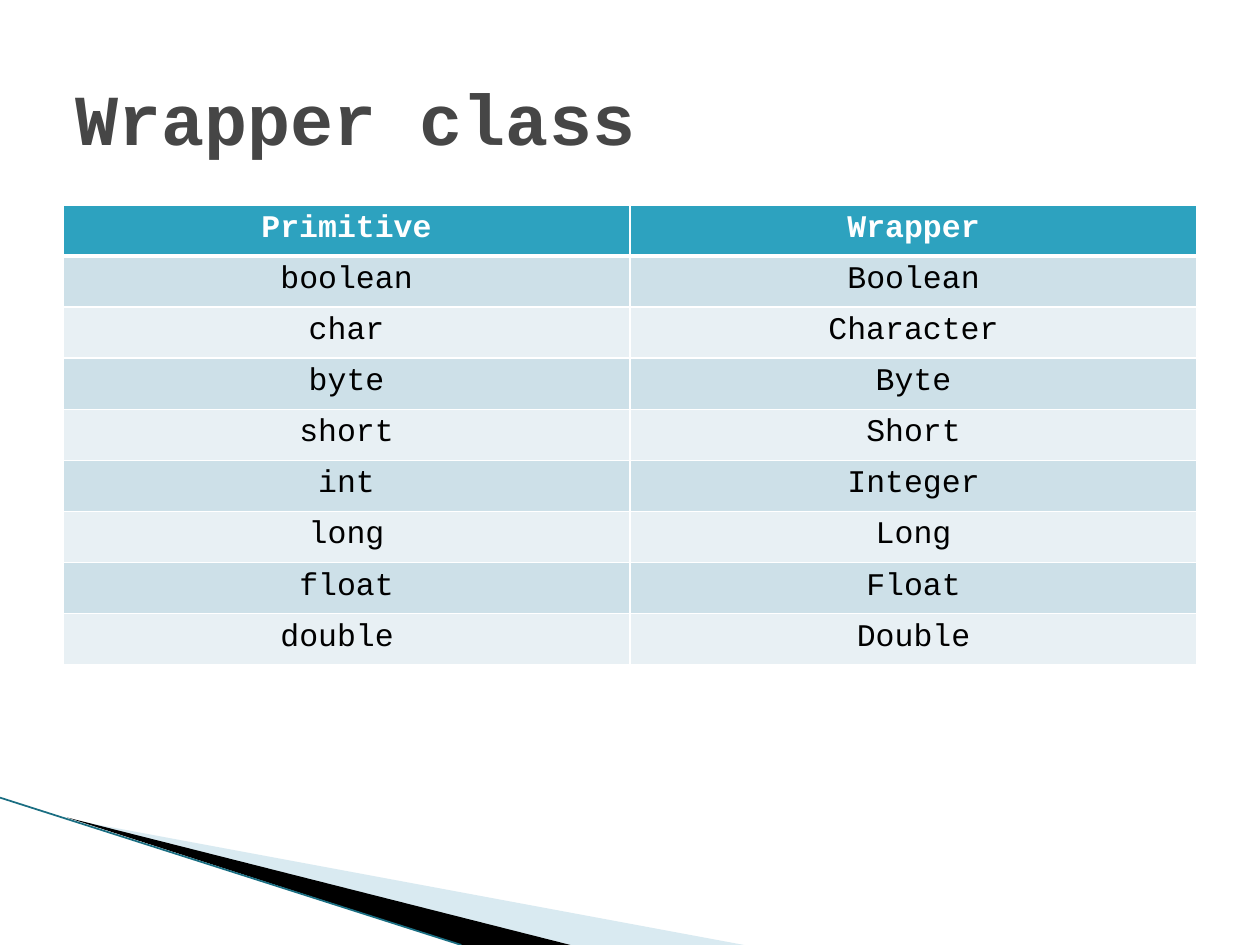
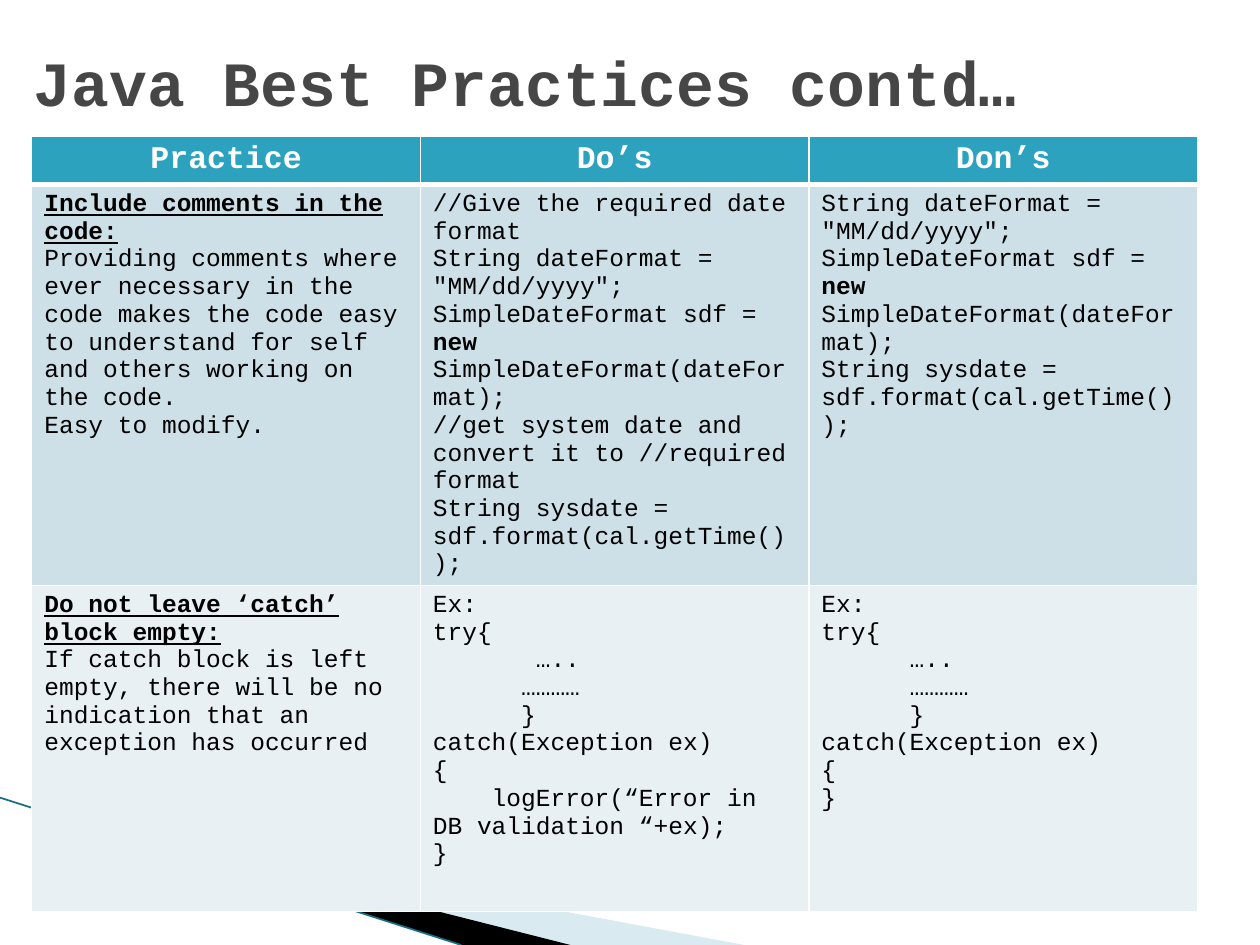
from lxml import etree
from pptx import Presentation
from pptx.dml.color import RGBColor
from pptx.enum.shapes import MSO_CONNECTOR
from pptx.enum.text import MSO_ANCHOR, MSO_AUTO_SIZE, PP_ALIGN
from pptx.oxml.ns import qn
from pptx.util import Cm, Pt

# Shared look
FONT = "Courier New"
WHITE = RGBColor(0xFF, 0xFF, 0xFF)
BLACK = RGBColor(0x00, 0x00, 0x00)
TITLE_GREY = RGBColor(0x46, 0x46, 0x46)
HEADER_TEAL = RGBColor(0x2D, 0xA2, 0xBF)
ROW_FILLS = (RGBColor(0xCD, 0xE0, 0xE8), RGBColor(0xE8, 0xF0, 0xF4))
WEDGE_BLUE = RGBColor(0xA0, 0xCB, 0xDC)
EDGE_TEAL = RGBColor(0x1A, 0x6E, 0x82)

LEFT, CENTER = PP_ALIGN.LEFT, PP_ALIGN.CENTER
MIDDLE, TOP = MSO_ANCHOR.MIDDLE, MSO_ANCHOR.TOP
NO_AUTOFIT = MSO_AUTO_SIZE.NONE
STRAIGHT = MSO_CONNECTOR.STRAIGHT

SLIDE_WIDTH, SLIDE_HEIGHT = 25.4, 19.05
TITLE_ONLY = 5
CHAR_WIDTH = 0.6  # width of a monospaced letter as a share of its size
THIN, THICK = 1, 3

TITLE_STYLE = {"name": FONT, "bold": True}
HEADER_STYLE = {"name": FONT, "size": Pt(18), "bold": True}
TYPE_STYLE = {"name": FONT, "size": Pt(18), "bold": False}
CODE_SIZE = 14
CODE_STYLE = {"name": FONT, "size": Pt(CODE_SIZE), "bold": False}
BOLD = {"bold": True}
HEADING = {"bold": True, "underline": True}


def line(*spans, indent=0):
    """One paragraph: spans of (text, extra format), first line set in by letters."""
    return indent, [(span, {}) if isinstance(span, str) else span for span in spans]


# Wording
WRAPPER_ROWS = [
    ("Primitive", "Wrapper"),
    ("boolean", "Boolean"),
    ("char", "Character"),
    ("byte", "Byte"),
    ("short", "Short"),
    ("int", "Integer"),
    ("long", "Long"),
    ("float", "Float"),
    ("double ", "Double"),
]

DATE_PATTERN = line('String dateFormat = "MM/dd/yyyy";')
DATE_FORMATTER = line("SimpleDateFormat sdf = ", ("new ", BOLD),
                      "SimpleDateFormat(dateFormat);")
SYSTEM_DATE = line("String sysdate = sdf.format(cal.getTime());")
TRY_START = [line("Ex:"), line("try{")]
TRY_END = [
    line("…………", indent=6),
    line("}", indent=6),
    line("catch(Exception ex)"),
    line("{"),
]

PRACTICE_ROWS = [
    ([line("Practice")], [line("Do’s")], [line("Don’s")]),
    (
        [
            line(("Include comments in the code:", HEADING)),
            line("Providing comments where ever necessary in the code makes the "
                 "code easy to understand for self and others working on the code."),
            line("Easy to modify."),
        ],
        [
            line("//Give the required date format"),
            DATE_PATTERN,
            DATE_FORMATTER,
            line("//get system date and convert it to //required format"),
            SYSTEM_DATE,
        ],
        [DATE_PATTERN, DATE_FORMATTER, SYSTEM_DATE],
    ),
    (
        [
            line(("Do not leave ‘catch’ block empty:", HEADING)),
            line("If catch block is left empty, there will be no indication "
                 "that an exception has occurred"),
        ],
        [
            *TRY_START,
            line("…..", indent=7),
            *TRY_END,
            line("logError(“Error in DB validation “+ex);", indent=4),
            line("}"),
        ],
        [*TRY_START, line("…..", indent=6), *TRY_END, line("}")],
    ),
]


# Text
def format_font(font, style, color):
    for name, value in style.items():
        setattr(font, name, value)
    font.color.rgb = color


def write_lines(frame, lines, style, color, align):
    for number, (indent, spans) in enumerate(lines):
        para = frame.add_paragraph() if number else frame.paragraphs[0]
        para.alignment = align
        if indent:
            width = Pt(indent * CHAR_WIDTH * CODE_SIZE)
            para._p.get_or_add_pPr().set("indent", str(int(width)))
        for text, extra in spans:
            span = para.add_run()
            span.text = text
            format_font(span.font, {**style, **extra}, color)


# Corner wedge shared by all slides
def add_wedge(page, points, color, opacity=None):
    corners = [(Cm(x), Cm(y)) for x, y in points]
    builder = page.shapes.build_freeform(*corners[0])
    builder.add_line_segments(corners[1:], close=True)
    wedge = builder.convert_to_shape()
    wedge.shadow.inherit = False
    wedge.fill.solid()
    wedge.fill.fore_color.rgb = color
    wedge.line.fill.background()
    if opacity:
        color_node = wedge._element.spPr.find(qn("a:solidFill"))[0]
        etree.SubElement(color_node, qn("a:alpha"), val=str(opacity * 1000))


def add_corner(page):
    bottom = SLIDE_HEIGHT
    add_wedge(page, [(1.4, 16.52), (15, bottom), (11.5, bottom)], WEDGE_BLUE, 40)
    add_wedge(page, [(1.35, 16.48), (11.5, bottom), (9.3, bottom)], BLACK)
    edge = page.shapes.add_connector(STRAIGHT, Cm(0), Cm(16.08), Cm(9.3), Cm(bottom))
    edge.line.color.rgb = EDGE_TEAL
    edge.line.width = Pt(1)
    etree.SubElement(edge._element.spPr, qn("a:effectLst"))


# Title
def add_title(page, text, box, size):
    title = page.shapes.title
    title.left, title.top, title.width, title.height = map(Cm, box)
    frame = title.text_frame
    frame.auto_size = NO_AUTOFIT
    frame.vertical_anchor = MIDDLE
    frame.word_wrap = True
    write_lines(frame, [line(text)], {**TITLE_STYLE, "size": Pt(size)},
                TITLE_GREY, LEFT)


# Table
def set_borders(cell, top, bottom):
    properties = cell._tc.get_or_add_tcPr()
    widths = {"a:lnL": THIN, "a:lnR": THIN, "a:lnT": top, "a:lnB": bottom}
    for position, (tag, width) in enumerate(widths.items()):
        border = etree.Element(qn(tag), w=str(Pt(width)))
        fill = etree.SubElement(border, qn("a:solidFill"))
        etree.SubElement(fill, qn("a:srgbClr"), val=str(WHITE))
        properties.insert(position, border)


def add_grid(page, rows, box, row_heights, body_style, body_align):
    left, top, width = box
    columns = len(rows[0])
    table = page.shapes.add_table(len(rows), columns, Cm(left), Cm(top), Cm(width),
                                  Cm(sum(row_heights))).table
    for column in table.columns:
        column.width = Cm(width / columns)
    for row_number, (row, height) in enumerate(zip(rows, row_heights)):
        table.rows[row_number].height = Cm(height)
        is_header = row_number == 0
        for column_number, lines in enumerate(row):
            cell = table.cell(row_number, column_number)
            cell.vertical_anchor = TOP
            cell.fill.solid()
            cell.fill.fore_color.rgb = (
                HEADER_TEAL if is_header else ROW_FILLS[(row_number - 1) % 2])
            set_borders(cell, THICK if row_number == 1 else THIN,
                        THICK if is_header else THIN)
            if is_header:
                write_lines(cell.text_frame, lines, HEADER_STYLE, WHITE, CENTER)
            else:
                write_lines(cell.text_frame, lines, body_style, BLACK, body_align)


# Slides
def add_page(deck):
    page = deck.slides.add_slide(deck.slide_layouts[TITLE_ONLY])
    add_corner(page)
    return page


def add_wrapper_slide(deck):
    page = add_page(deck)
    add_title(page, "Wrapper class", (1.27, 0.76, 22.86, 3.18), 41)
    rows = [[[line(word)] for word in row] for row in WRAPPER_ROWS]
    add_grid(page, rows, (1.27, 4.13, 22.86), [1.03] * len(rows), TYPE_STYLE, CENTER)


def add_practice_slide(deck):
    page = add_page(deck)
    add_title(page, "Java Best Practices contd…", (0.43, 0.43, 22.86, 2.41), 36)
    add_grid(page, PRACTICE_ROWS, (0.64, 2.75, 23.5), [0.97, 8.08, 6.57],
             CODE_STYLE, LEFT)


def main():
    deck = Presentation()
    deck.slide_width, deck.slide_height = Cm(SLIDE_WIDTH), Cm(SLIDE_HEIGHT)
    add_wrapper_slide(deck)
    add_practice_slide(deck)
    deck.save("out.pptx")


if __name__ == "__main__":
    main()
